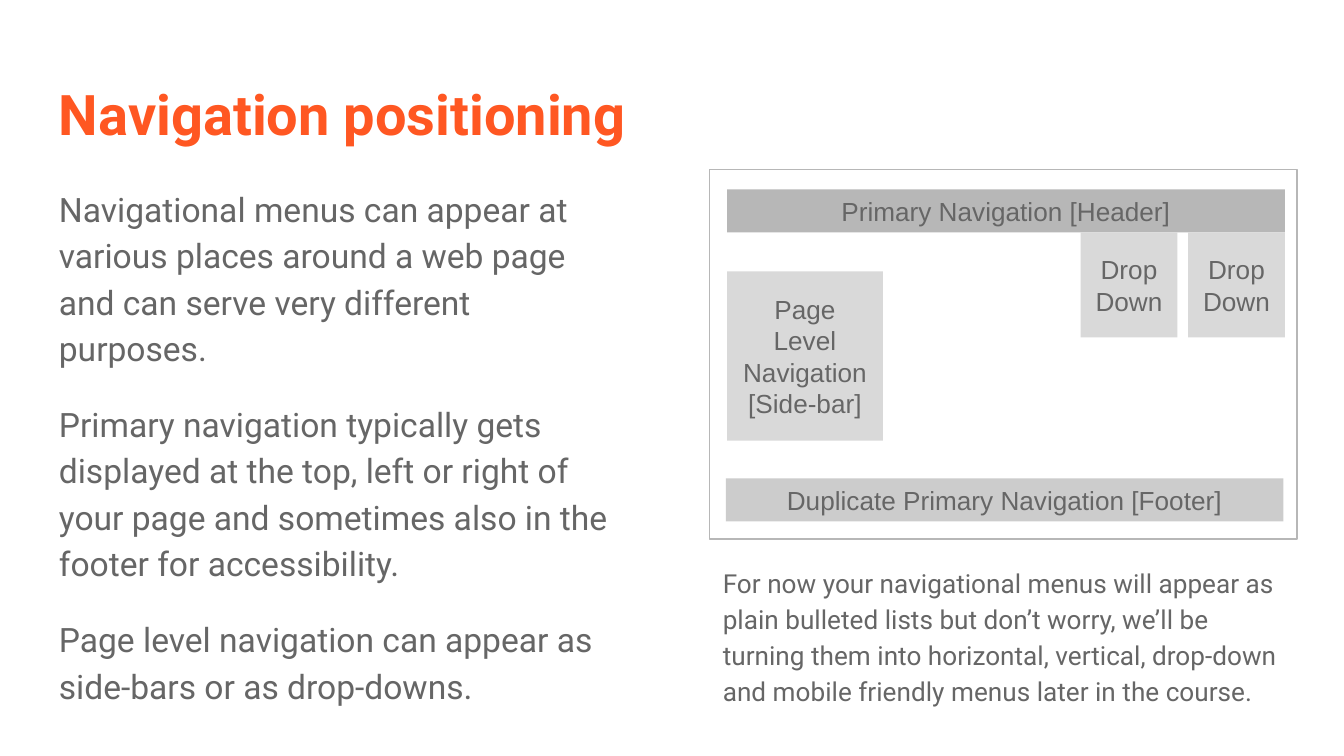
from pptx import Presentation
from pptx.dml.color import RGBColor
from pptx.enum.shapes import MSO_SHAPE
from pptx.enum.text import MSO_ANCHOR, PP_ALIGN
from pptx.util import Inches, Pt

RECT = MSO_SHAPE.RECTANGLE
TOP, MIDDLE = MSO_ANCHOR.TOP, MSO_ANCHOR.MIDDLE
LEFT, CENTER = PP_ALIGN.LEFT, PP_ALIGN.CENTER
ORANGE = RGBColor(0xFF, 0x57, 0x22)
TEXT = RGBColor(0x66, 0x66, 0x66)
DARK = RGBColor(0xB7, 0xB7, 0xB7)
MID = RGBColor(0xCC, 0xCC, 0xCC)
LIGHT = RGBColor(0xD9, 0xD9, 0xD9)

TITLE = {"name": "Roboto", "size": Pt(30), "bold": True}
BODY = {"name": "Roboto", "size": Pt(18)}
NOTE = {"name": "Roboto", "size": Pt(14)}
LABEL = {"name": "Arial", "size": Pt(14)}
PROSE = {"alignment": LEFT, "line_spacing": 1.15, "space_before": Pt(16)}
FIRST = PROSE | {"space_before": Pt(0)}
PLAIN = {"alignment": LEFT}
MENU = {"alignment": CENTER}


def apply(item, style):
    for key, value in style.items():
        setattr(item, key, value)


def write(shape, lines, font, styles, color=TEXT, anchor=TOP):
    frame = shape.text_frame
    inset = Inches(0.1)
    apply(frame, {"word_wrap": True, "vertical_anchor": anchor,
                  "margin_left": inset, "margin_right": inset,
                  "margin_top": inset, "margin_bottom": inset})
    for i, line in enumerate(lines):
        para = frame.paragraphs[0] if i == 0 else frame.add_paragraph()
        apply(para, styles[min(i, len(styles) - 1)])
        run = para.add_run()
        run.text = line
        apply(run.font, font)
        run.font.color.rgb = color


deck = Presentation()
deck.slide_width, deck.slide_height = Inches(10), Inches(10 * 9 / 16)
slide = deck.slides.add_slide(deck.slide_layouts[6])
shapes = slide.shapes

texts = [
    ((0.34, 0.49, 9.32, 0.63), ["Navigation positioning"], TITLE, [PLAIN], ORANGE),
    ((0.34, 1.26, 4.37, 3.74), [
        "Navigational menus can appear at various places around a web page "
        "and can serve very different purposes.",
        "Primary navigation typically gets displayed at the top, left or right "
        "of your page and sometimes also in the footer for accessibility.",
        "Page level navigation can appear as side-bars or as drop-downs.",
    ], BODY, [FIRST, PROSE], TEXT),
    ((5.28, 4.09, 4.37, 1.26), [
        "For now your navigational menus will appear as plain bulleted lists "
        "but don’t worry, we’ll be turning them into horizontal, vertical, "
        "drop-down and mobile friendly menus later in the course.",
    ], NOTE, [FIRST], TEXT),
]
for place, lines, font, styles, color in texts:
    box = shapes.add_textbox(*map(Inches, place))
    write(box, lines, font, styles, color)

page = shapes.add_shape(RECT, *map(Inches, (5.28, 1.26, 4.37, 2.75)))
page.shadow.inherit = False
page.fill.background()
page.line.color.rgb = DARK
page.line.width = Pt(0.75)

menus = [
    ((5.41, 1.41, 4.15, 0.32), DARK, ["Primary Navigation [Header]"]),
    ((5.4, 3.56, 4.15, 0.32), MID, ["Duplicate Primary Navigation [Footer]"]),
    ((5.41, 2.02, 1.16, 1.26), LIGHT, ["Page Level Navigation", "[Side-bar]"]),
]
for x in (8.84, 8.04):
    menus.append(((x, 1.73, 0.72, 0.78), LIGHT, ["Drop Down"]))

for place, fill, lines in menus:
    menu = shapes.add_shape(RECT, *map(Inches, place))
    menu.shadow.inherit = False
    menu.fill.solid()
    menu.fill.fore_color.rgb = fill
    menu.line.fill.background()
    write(menu, lines, LABEL, [MENU], anchor=MIDDLE)

deck.save("out.pptx")
